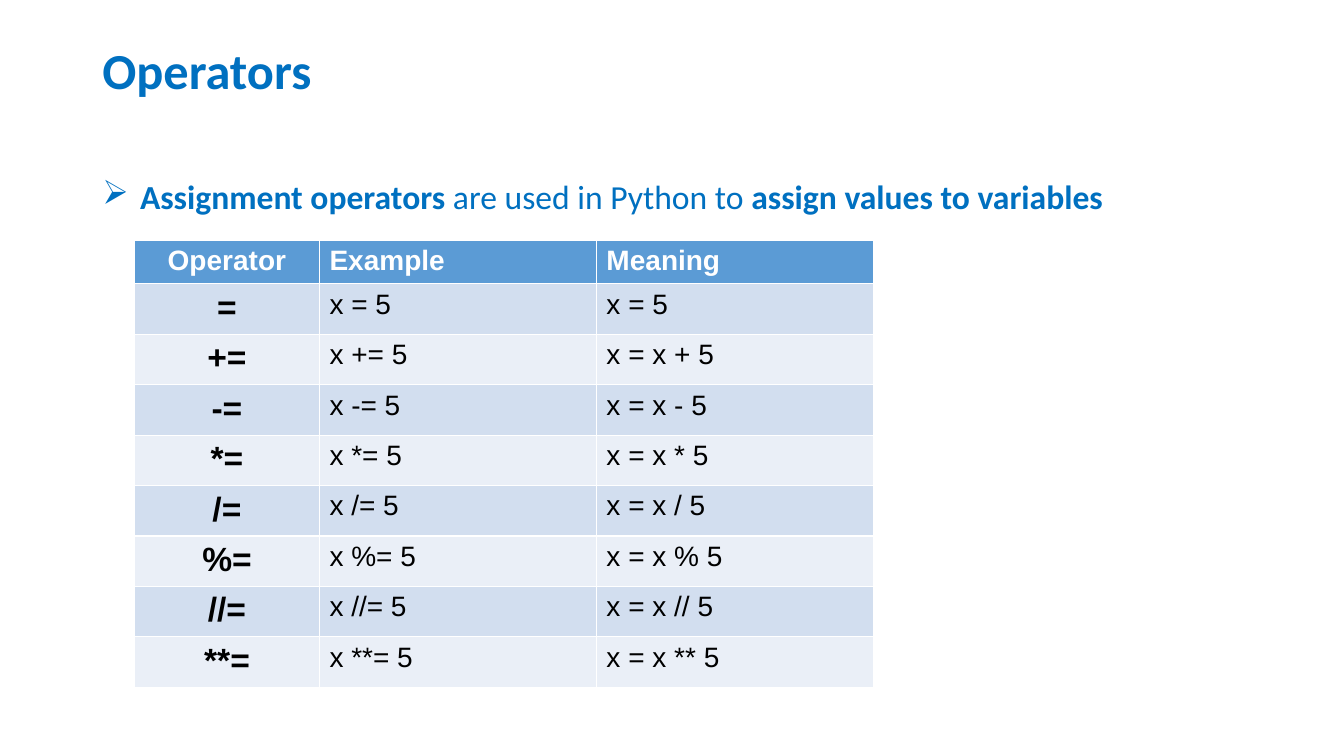
"""Builds a slide on the assignment operators of Python."""
from lxml import etree
from pptx import Presentation
from pptx.dml.color import RGBColor
from pptx.enum.text import MSO_ANCHOR, PP_ALIGN
from pptx.oxml.ns import qn
from pptx.util import Cm, Pt

MIDDLE, TOP = MSO_ANCHOR.MIDDLE, MSO_ANCHOR.TOP
CENTER, LEFT = PP_ALIGN.CENTER, PP_ALIGN.LEFT


def color(hex_string):
    return RGBColor.from_string(hex_string)


class OperatorSlide:
    text_font, table_font = "Calibri", "Arial"
    blue, white, black = "0070C0", "FFFFFF", "000000"
    header_fill, band_fills = "5B9BD5", ("D2DEEF", "EAEFF7")

    def __init__(self, presentation):
        self.slide = presentation.slides.add_slide(presentation.slide_layouts[6])

    def style(self, paragraph, font, size, hex_string, bold=None):
        paragraph.font.name = font
        paragraph.font.size = Pt(size)
        paragraph.font.color.rgb = color(hex_string)
        paragraph.font.bold = bold

    def text(self, runs, top, height, size, spacing, anchor):
        frame = self.slide.shapes.add_textbox(
            Cm(2.33), Cm(top), Cm(29.21), Cm(height)).text_frame
        frame.word_wrap = True
        frame.vertical_anchor = anchor
        paragraph = frame.paragraphs[0]
        paragraph.line_spacing = spacing
        self.style(paragraph, self.text_font, size, self.blue)
        for words, bold in runs:
            run = paragraph.add_run()
            run.text = words
            run.font.bold = bold
        return paragraph

    def bullet(self, paragraph, mark, indent):
        paragraph.space_before = Pt(18)
        properties = paragraph._p.get_or_add_pPr()
        properties.set("marL", str(Cm(indent)))
        properties.set("indent", str(-Cm(indent)))
        mark_element = etree.Element(qn("a:buChar"), char=mark)
        properties.insert_element_before(mark_element, "a:tabLst", "a:defRPr", "a:extLst")

    def cell(self, cell, words, size, hex_string, bold, align, fill):
        cell.text = words
        cell.fill.solid()
        cell.fill.fore_color.rgb = color(fill)
        paragraph = cell.text_frame.paragraphs[0]
        paragraph.alignment = align
        self.style(paragraph, self.table_font, size, hex_string, bold)

    def table(self, rows, left, top, widths, row_height):
        table = self.slide.shapes.add_table(
            len(rows), len(widths), Cm(left), Cm(top),
            Cm(sum(widths)), Cm(row_height * len(rows))).table
        for column, width in zip(table.columns, widths):
            column.width = Cm(width)
        for r, row in enumerate(rows):
            header = r == 0
            fill = self.header_fill if header else self.band_fills[(r - 1) % 2]
            for c, words in enumerate(row):
                operator = c == 0
                self.cell(table.cell(r, c), words,
                          24 if operator and not header else 20,
                          self.white if header else self.black,
                          header or operator,
                          CENTER if operator else LEFT, fill)


def main():
    presentation = Presentation()
    presentation.slide_width, presentation.slide_height = Cm(33.87), Cm(19.05)
    page = OperatorSlide(presentation)

    page.text([("Operators", True)], 0, 3.68, 36, 0.9, MIDDLE)
    definition = page.text(
        [("Assignment operators ", True),
         ("are used in Python to ", False),
         ("assign values to variables", True)],
        3.81, 13.54, 24, 1.5, TOP)
    page.bullet(definition, "➢", 0.95)

    rows = [("Operator", "Example", "Meaning"), ("=", "x = 5", "x = 5")]
    for sign in ("+", "-", "*", "/", "%", "//", "**"):
        rows.append((f"{sign}=", f"x {sign}= 5", f"x = x {sign} 5"))
    page.table(rows, 3.39, 6.05, (4.66, 6.98, 6.98), 1.03)

    presentation.save("out.pptx")


if __name__ == "__main__":
    main()
